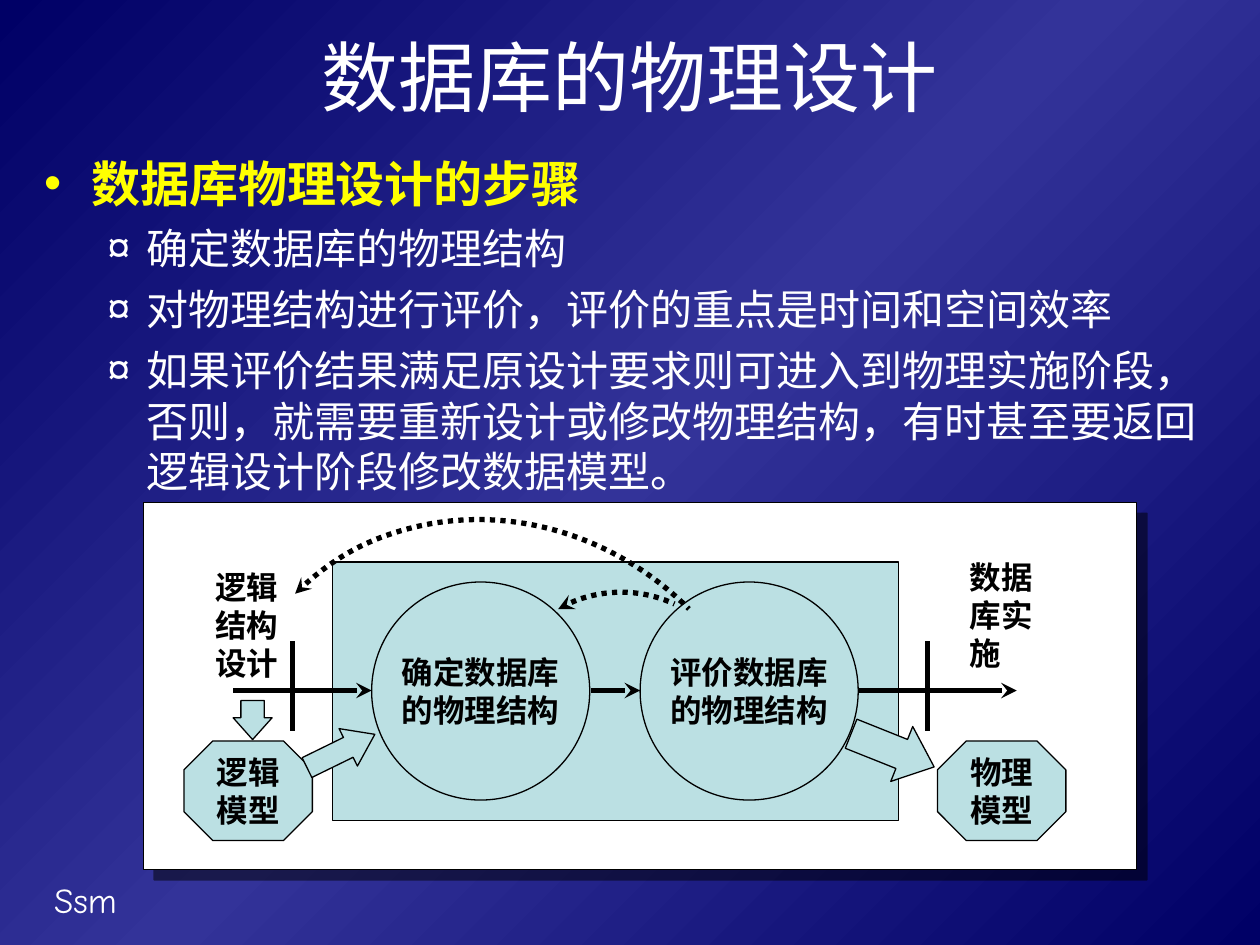
from copy import deepcopy

from lxml import etree
from pptx import Presentation
from pptx import util as u
from pptx.dml import color
from pptx.enum import dml, shapes, text
from pptx.oxml import ns

Pt = u.Pt
SHAPE = shapes.MSO_SHAPE
BLACK, WHITE, YELLOW, TEAL = "000000", "FFFFFF", "FFFF00", "BBE0E3"
NAVY, INDIGO = "000066", "333399"


def rgb(value):
    return color.RGBColor.from_string(value)


def sub(parent, tag, **attrs):
    return etree.SubElement(parent, ns.qn(tag), attrs)


class Deck:
    """Draws styled elements on the current slide, with lengths in points."""

    def __init__(self, width, height, font="Arial"):
        self.prs = Presentation()
        self.prs.slide_width, self.prs.slide_height = Pt(width), Pt(height)
        self.font = font
        self.s = None

    def add_slide(self, edge, middle):
        self.s = self.prs.slides.add_slide(self.prs.slide_layouts[1])
        fill = self.s.background.fill
        fill.gradient()
        fill.gradient_angle = 135
        stops = self.s._element.xpath(".//a:gsLst")[0]
        stops.insert(1, deepcopy(stops[0]))
        for stop, value, pos in zip(fill.gradient_stops, (edge, middle, edge), (0, 0.5, 1)):
            stop.color.rgb = rgb(value)
            stop.position = pos

    def style(self, p, size, value, bold=False, font=None):
        for r in p.runs:
            r.font.name = font or self.font
            r.font.size = Pt(size)
            r.font.bold = bold
            r.font.color.rgb = rgb(value)

    def place(self, sp, box):
        sp.left, sp.top, sp.width, sp.height = map(Pt, box)
        sp.text_frame.auto_size = text.MSO_AUTO_SIZE.NONE
        return sp.text_frame

    def title(self, content, box):
        tf = self.place(self.s.shapes.title, box)
        tf.text = content
        tf.vertical_anchor = text.MSO_ANCHOR.MIDDLE
        p = tf.paragraphs[0]
        p.alignment = text.PP_ALIGN.CENTER
        self.style(p, 44, WHITE)

    def body(self, heading, items, box):
        tf = self.place(self.s.placeholders[1], box)
        tf.text = "\n".join([heading] + items)
        for i, p in enumerate(tf.paragraphs):
            if i:
                p.level = 1
                self.bullet(p, "¤", WHITE, 58.5, 22.5)
            else:
                self.bullet(p, "•", YELLOW, 27, 27)
            p.space_before = Pt(6 if i else 0)
            self.style(p, 24 if i else 28, WHITE if i else YELLOW, not i)

    def bullet(self, p, char, value, margin, hang):
        pPr = p._p.get_or_add_pPr()
        pPr.set("marL", str(Pt(margin)))
        pPr.set("indent", str(-Pt(hang)))
        sub(sub(pPr, "a:buClr"), "a:srgbClr", val=value)
        sub(pPr, "a:buFont", typeface=self.font)
        sub(pPr, "a:buChar", char=char)

    def label(self, content, box, size=18, value=BLACK, bold=True, font=None):
        tf = self.s.shapes.add_textbox(*map(Pt, box)).text_frame
        tf.word_wrap = True
        tf.text = content
        self.style(tf.paragraphs[0], size, value, bold, font)

    def shape(self, kind, box, fill=TEAL, content="", adj=(), rot=0):
        sp = self.s.shapes.add_shape(kind, *map(Pt, box))
        sp.shadow.inherit = False
        sp.rotation = rot
        for i, value in enumerate(adj):
            sp.adjustments[i] = value
        if fill:
            sp.fill.solid()
            sp.fill.fore_color.rgb = rgb(fill)
        else:
            sp.fill.background()
        sp.line.color.rgb = rgb(BLACK)
        sp.line.width = Pt(0.75)
        if content:
            tf = sp.text_frame
            tf.word_wrap = False
            tf.vertical_anchor = text.MSO_ANCHOR.MIDDLE
            tf.text = content
            for p in tf.paragraphs:
                p.alignment = text.PP_ALIGN.CENTER
                self.style(p, 18, BLACK, True)
        return sp

    def panel(self, box):
        sp = self.shape(SHAPE.RECTANGLE, box, WHITE)
        effects = sp._element.spPr.find(ns.qn("a:effectLst"))
        shadow = sub(effects, "a:outerShdw", blurRad="0", dist=str(Pt(8.5)),
                     dir="2700000", algn="ctr", rotWithShape="0")
        sub(sub(shadow, "a:srgbClr", val=BLACK), "a:alpha", val="50000")

    def dotted_arc(self, box, start, end):
        sp = self.shape(SHAPE.ARC, box, None, adj=(start * 0.6, end * 0.6), rot=315)
        sp.line.width = Pt(3)
        sp.line.dash_style = dml.MSO_LINE.ROUND_DOT
        sub(sp.line._get_or_add_ln(), "a:headEnd", type="stealth")

    def line(self, x1, y1, x2, y2, arrow=False):
        c = self.s.shapes.add_connector(shapes.MSO_CONNECTOR.STRAIGHT, *map(Pt, (x1, y1, x2, y2)))
        c.line.color.rgb = rgb(BLACK)
        c.line.width = Pt(3)
        if arrow:
            sub(c.line._get_or_add_ln(), "a:tailEnd", type="stealth")
        sub(c._element.spPr, "a:effectLst")

    def save(self):
        self.prs.save("out.pptx")


def main():
    d = Deck(720, 540)
    d.add_slide(NAVY, INDIGO)
    d.label("Ssm", (23.8, 498.2, 149.8, 31.7), 20, WHITE, False, "Comic Neue")
    d.title("数据库的物理设计", (36, 12.2, 648, 62.6))
    d.body("数据库物理设计的步骤", [
        "确定数据库的物理结构",
        "对物理结构进行评价，评价的重点是时间和空间效率",
        "如果评价结果满足原设计要求则可进入到物理实施阶段，否则，就需要重新设计或修改物理结构，"
        "有时甚至要返回逻辑设计阶段修改数据模型。",
    ], (18, 84.2, 689.8, 226))

    d.panel((82, 287.3, 567.4, 209.5))
    d.shape(SHAPE.RECTANGLE, (190.1, 321.1, 323.3, 147.6))
    for x, verb in ((212.4, "确定"), (365.8, "评价")):
        d.shape(SHAPE.OVAL, (x, 332.6, 124.6, 124.6), content=verb + "数据库\n的物理结构")
    for x1, x2 in ((133.2, 212.4), (490.3, 581), (337.7, 365.8)):
        d.line(x1, 394.6, x2, 394.6, arrow=True)
    d.dotted_arc((283, 338.4, 144, 144), 285, 340)
    for x in (167, 529.9):
        d.line(x, 366.5, x, 417.6)
    for x, kind in ((105.1, "逻辑"), (535.7, "物理")):
        d.shape(SHAPE.OCTAGON, (x, 423.4, 73.4, 56.9), content=kind + "\n模型", adj=(0.29,))
    d.label("逻辑结构设计", (115.9, 321.1, 67.7, 72))
    d.label("数据库实施", (547.2, 315.4, 67.7, 72))
    for box, adj, rot in (
        ((133.2, 400.3, 22.3, 22.3), (0.6, 0.56), 0),
        ((182.9, 407.5, 23.8, 43.2), (0.53, 0.71), 243.9),
        ((493.2, 403.2, 33.8, 51.1), (0.53, 0.59), 291.8),
    ):
        d.shape(SHAPE.DOWN_ARROW, box, adj=adj, rot=rot)
    d.dotted_arc((132.5, 290.9, 306, 330.5), 270, 0)
    d.save()


if __name__ == "__main__":
    main()
